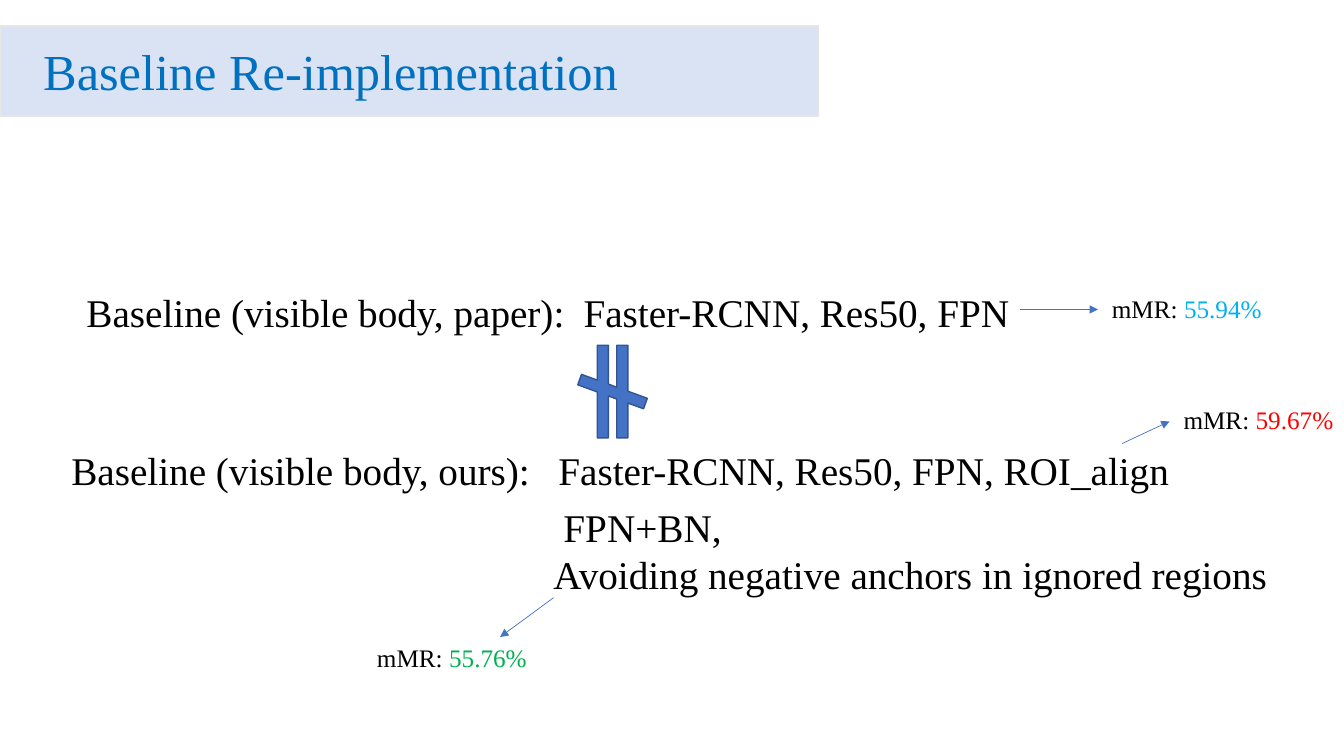
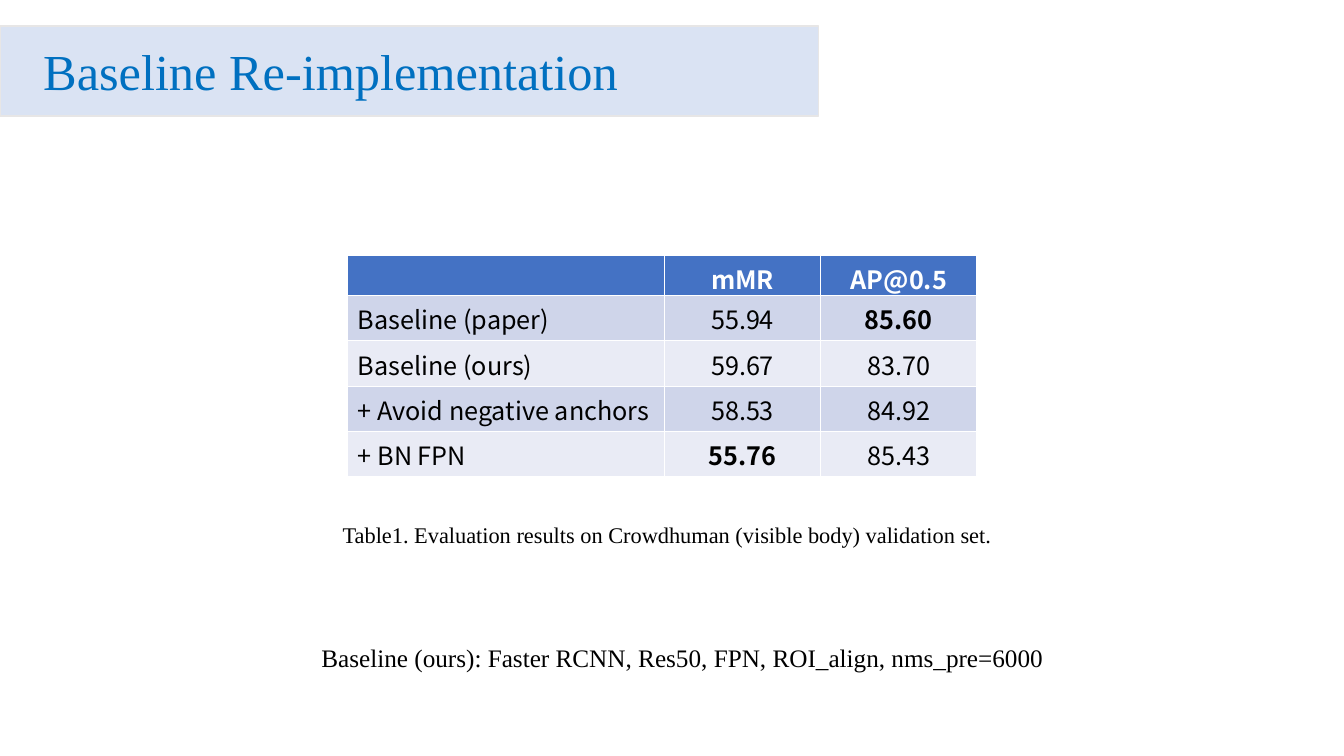
from dataclasses import dataclass

from lxml import etree
from pptx import Presentation
from pptx import util as u
from pptx.dml.color import RGBColor
from pptx.enum import shapes, text
from pptx.oxml.ns import qn

PX = 9144  # EMU in one px, 100 px to the inch


@dataclass(frozen=True)
class Theme:
    serif: str = "Times New Roman"
    sans: str = "Noto Sans CJK SC"
    title_size: int = 36
    body_size: int = 28
    note_size: int = 18
    caption_size: int = 16
    band: str = "DAE3F3"
    band_edge: str = "E7E6E6"
    title: str = "0070C0"
    ink: str = "000000"
    white: str = "FFFFFF"
    accent: str = "4472C4"
    accent_edge: str = "325491"
    paper: str = "00B0F0"
    worse: str = "FF0000"
    better: str = "00B050"
    stripes: tuple = ("CFD5EA", "E9EBF5")


T = Theme()


def add_runs(paragraph, runs, size, face=T.serif, bold=False):
    """Add (words, colour) runs to a paragraph."""
    for words, colour in runs:
        run = paragraph.add_run()
        run.text = words
        run.font.size = u.Pt(size)
        run.font.name = face
        run.font.bold = bold
        run.font.color.rgb = RGBColor.from_string(colour)


def add_text(slide, box, lines, size, tab=None, indent=0):
    """Add a text box, one paragraph for each list of runs; indent moves the first."""
    frame = slide.shapes.add_textbox(*[v * PX for v in box]).text_frame
    frame.word_wrap = True
    frame.auto_size = text.MSO_AUTO_SIZE.SHAPE_TO_FIT_TEXT
    for i, runs in enumerate(lines):
        paragraph = frame.add_paragraph() if i else frame.paragraphs[0]
        props = paragraph._p.get_or_add_pPr()
        if indent and i == 0:
            props.set("marL", str(indent * PX))
            props.set("indent", "0")
        if tab:
            stops = etree.SubElement(props, qn("a:tabLst"))
            etree.SubElement(stops, qn("a:tab"), pos=str(tab * PX), algn="l")
        add_runs(paragraph, runs, size)


deck = Presentation()
deck.slide_width, deck.slide_height = 1333 * PX, 750 * PX

# Title band on both slides
for _ in range(2):
    slide = deck.slides.add_slide(deck.slide_layouts[6])
    band = slide.shapes.add_shape(shapes.MSO_SHAPE.FLOWCHART_PROCESS,
                                  0, 26 * PX, 812 * PX, 89 * PX)
    band.shadow.inherit = False
    band.fill.solid()
    band.fill.fore_color.rgb = RGBColor.from_string(T.band)
    band.line.color.rgb = RGBColor.from_string(T.band_edge)
    band.line.width = u.Pt(1)
    add_text(slide, (33, 35, 602, 71), [[("Baseline Re-implementation", T.title)]],
             T.title_size)

comparison, results = deck.slides

# Slide 1: the two baselines
for box, label, parts, tab in [
    ((76, 281, 954, 57), "Baseline (visible body, paper):",
     "Faster-RCNN, Res50, FPN", 493),
    ((61, 438, 1172, 57), "Baseline (visible body, ours):",
     "Faster-RCNN, Res50, FPN, ROI_align", 483),
]:
    add_text(comparison, box, [[(f"{label}\t{parts}", T.ink)]], T.body_size, tab=tab)

not_equal = comparison.shapes.add_shape(shapes.MSO_SHAPE.MATH_NOT_EQUAL,
                                        545 * PX, 354 * PX, 125 * PX, 69 * PX)
not_equal.rotation = 90
for i, value in enumerate((0.16, 66, 0.12)):
    not_equal.adjustments[i] = value
not_equal.shadow.inherit = False
not_equal.fill.solid()
not_equal.fill.fore_color.rgb = RGBColor.from_string(T.accent)
not_equal.line.color.rgb = RGBColor.from_string(T.accent_edge)
not_equal.line.width = u.Pt(1)

add_text(comparison, (539, 494, 795, 104),
         [[("FPN+BN,", T.ink)],
          [("Avoiding negative anchors in ignored regions", T.ink)]],
         T.body_size, indent=10)

# Slide 1: scores, each with its arrow
for box, score, colour, ends in [
    ((1093, 286, 264, 40), "55.94%", T.paper, (1012, 307, 1089, 307)),
    ((1164, 396, 264, 40), "59.67%", T.worse, (1113, 440, 1160, 418)),
    ((364, 632, 185, 40), "55.76%", T.better, (549, 593, 496, 632)),
]:
    add_text(comparison, box, [[("mMR: ", T.ink), (score, colour)]], T.note_size)
    arrow = comparison.shapes.add_connector(shapes.MSO_CONNECTOR.STRAIGHT,
                                            *[v * PX for v in ends])
    arrow.line.color.rgb = RGBColor.from_string(T.accent)
    arrow.line.width = u.Pt(0.5)
    etree.SubElement(arrow.line._get_or_add_ln(), qn("a:tailEnd"), type="triangle")
    etree.SubElement(arrow._element.spPr, qn("a:effectLst"))

# Slide 2: results table, whose default style draws the white rules
rows = [
    ("", "mMR", "AP@0.5"),
    ("Baseline (paper)", "55.94", "85.60"),
    ("Baseline (ours)", "59.67", "83.70"),
    ("+ Avoid negative anchors", "58.53", "84.92"),
    ("+ BN FPN", "55.76", "85.43"),
]
best = {"85.60", "55.76"}
scores = results.shapes.add_table(len(rows), 3, 345 * PX, 253 * PX,
                                  624 * PX, 219 * PX).table
for column, width in zip(scores.columns, (314, 155, 155)):
    column.width = width * PX
for r, values in enumerate(rows):
    scores.rows[r].height = (45 if r else 39) * PX
    for c, value in enumerate(values):
        cell = scores.cell(r, c)
        cell.fill.solid()
        cell.fill.fore_color.rgb = RGBColor.from_string(
            T.stripes[(r - 1) % 2] if r else T.accent)
        paragraph = cell.text_frame.paragraphs[0]
        if c:
            paragraph.alignment = text.PP_ALIGN.CENTER
        if value:
            add_runs(paragraph, [(value, T.ink if r else T.white)], T.note_size,
                     T.sans, bold=r == 0 or value in best)

# Slide 2: setup and caption
add_text(results, (309, 632, 864, 40),
         [[("Baseline (ours): Faster RCNN, Res50, FPN, ROI_align, nms_pre=6000", T.ink)]],
         T.note_size)
add_text(results, (330, 512, 864, 37),
         [[("Table1. Evaluation results on Crowdhuman (visible body) validation set.",
            T.ink)]],
         T.caption_size)

deck.save("out.pptx")
